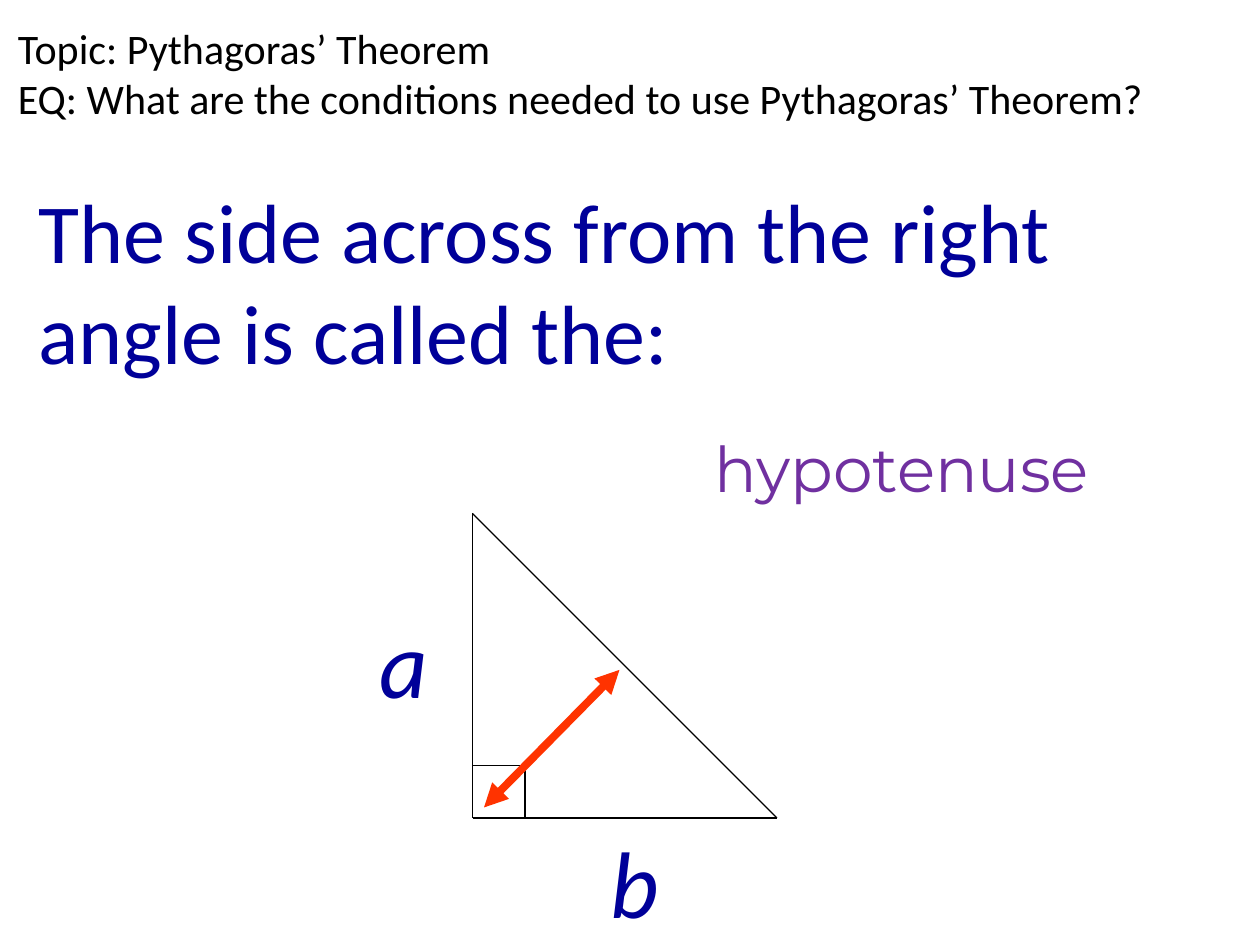
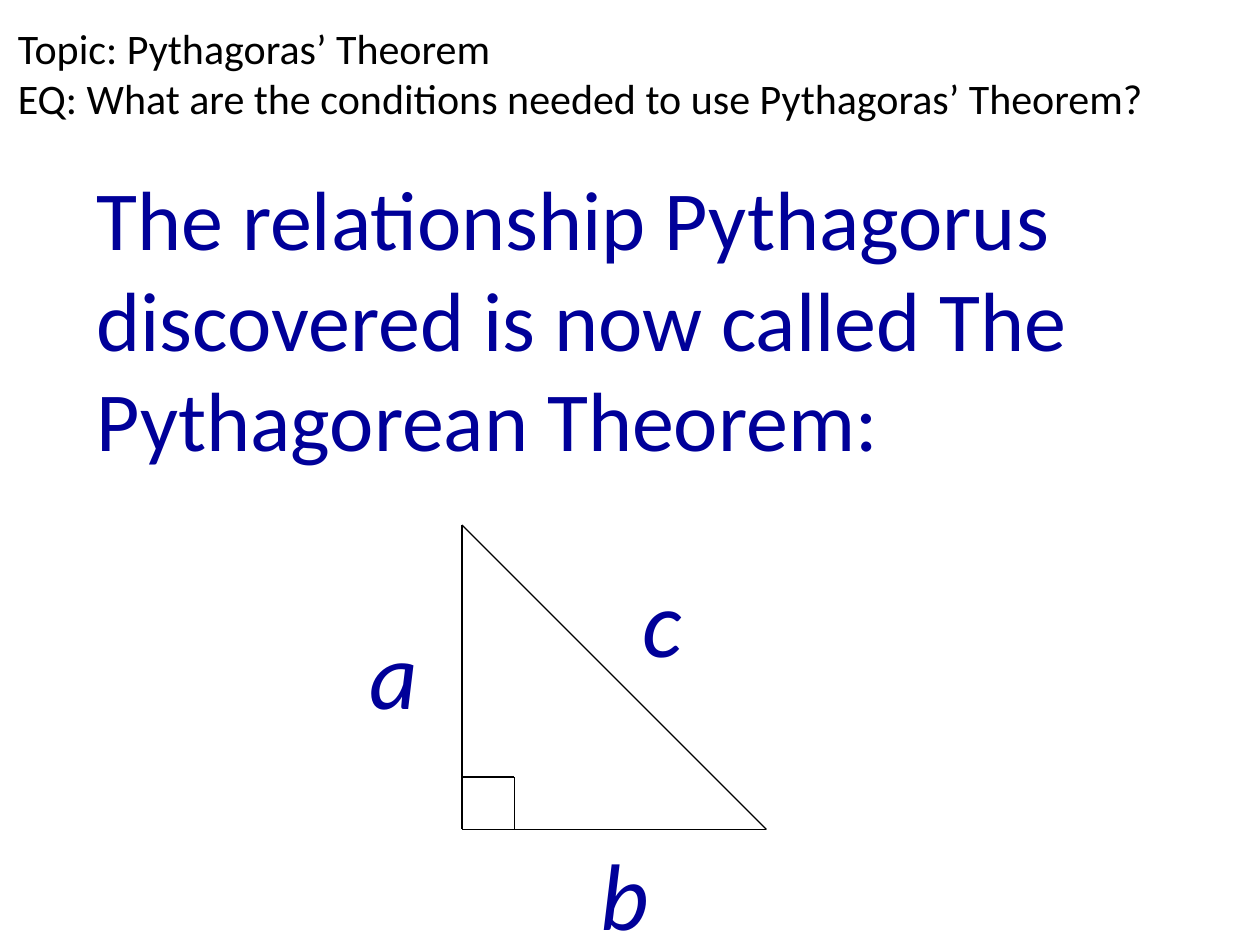
from dataclasses import dataclass

import pptx
import pptx.dml.color
import pptx.enum.shapes
import pptx.enum.text
import pptx.oxml
import pptx.oxml.ns
import pptx.presentation
import pptx.shapes.base
import pptx.slide
import pptx.text.text
import pptx.util

BLACK = pptx.dml.color.RGBColor(0x00, 0x00, 0x00)
NAVY = pptx.dml.color.RGBColor(0x00, 0x00, 0x99)
PURPLE = pptx.dml.color.RGBColor(0x70, 0x30, 0xA0)
ORANGE = pptx.dml.color.RGBColor(0xFF, 0x33, 0x00)

# The grid has 120 columns and 90 rows of one twelfth of an inch.
UNIT = pptx.util.Inches(1) // 12
SLIDE_COLUMNS, SLIDE_ROWS = 120, 90
LEG = 29
RIGHT_ANGLE_MARK = 5

TITLE = "Topic: Pythagoras’ Theorem\vEQ: What are the conditions needed to use Pythagoras’ Theorem?"


@dataclass(frozen=True)
class Area:
    column: float
    row: float
    columns: float
    rows: float


@dataclass(frozen=True)
class Point:
    column: float
    row: float

    def moved(self, columns: float, rows: float) -> "Point":
        return Point(self.column + columns, self.row + rows)


@dataclass(frozen=True)
class TextStyle:
    size: float
    color: pptx.dml.color.RGBColor
    font: str = "Calibri"
    italic: bool = False
    align: pptx.enum.text.PP_ALIGN = pptx.enum.text.PP_ALIGN.LEFT
    anchor: pptx.enum.text.MSO_ANCHOR = pptx.enum.text.MSO_ANCHOR.TOP
    wrap: bool = True


TITLE_STYLE = TextStyle(24, BLACK, anchor=pptx.enum.text.MSO_ANCHOR.MIDDLE)
STATEMENT_STYLE = TextStyle(48, NAVY)
SIDE_STYLE = TextStyle(54, NAVY, italic=True)
ANSWER_STYLE = TextStyle(36, PURPLE, "Montserrat", align=pptx.enum.text.PP_ALIGN.CENTER, wrap=False)

TITLE_AREA = Area(0.5, -1.3, 139.8, 16.5)
# Offsets of the side labels from the right-angle corner.
SIDE_OFFSETS = {"a": (-10, -21), "b": (12, 0), "c": (16, -26)}


def grid(units: float) -> pptx.util.Emu:
    return pptx.util.Emu(round(units * UNIT))


def place(shape: pptx.shapes.base.BaseShape, area: Area) -> None:
    shape.left, shape.top = grid(area.column), grid(area.row)
    shape.width, shape.height = grid(area.columns), grid(area.rows)


def write(frame: pptx.text.text.TextFrame, text: str, style: TextStyle) -> None:
    frame.text = text
    frame.word_wrap = style.wrap
    frame.auto_size = pptx.enum.text.MSO_AUTO_SIZE.NONE
    frame.vertical_anchor = style.anchor
    para = frame.paragraphs[0]
    para.alignment = style.align
    for span in para.runs:
        span.font.name = style.font
        span.font.size = pptx.util.Pt(style.size)
        span.font.italic = style.italic
        span.font.color.rgb = style.color


def add_text(page: pptx.slide.Slide, area: Area, text: str, style: TextStyle) -> None:
    box = page.shapes.add_textbox(0, 0, 0, 0)
    place(box, area)
    write(box.text_frame, text, style)


def add_line(page: pptx.slide.Slide, start: Point, end: Point,
             color: pptx.dml.color.RGBColor = BLACK, width: float = 0.75,
             arrows: bool = False) -> None:
    line = page.shapes.add_connector(
        pptx.enum.shapes.MSO_CONNECTOR.STRAIGHT,
        grid(start.column), grid(start.row), grid(end.column), grid(end.row))
    line.line.color.rgb = color
    line.line.width = pptx.util.Pt(width)
    properties = line.element.spPr
    if arrows:
        outline = line.line._get_or_add_ln()
        for end_name in ("headEnd", "tailEnd"):
            outline.append(pptx.oxml.parse_xml(
                f'<a:{end_name} {pptx.oxml.ns.nsdecls("a")} type="triangle"/>'))
    properties.append(pptx.oxml.parse_xml(f'<a:effectLst {pptx.oxml.ns.nsdecls("a")}/>'))


def add_triangle(page: pptx.slide.Slide, corner: Point, sides: str) -> None:
    """Draw the right triangle, its right-angle mark and the named side labels."""
    apex, foot = corner.moved(0, -LEG), corner.moved(LEG, 0)
    mark = corner.moved(RIGHT_ANGLE_MARK, -RIGHT_ANGLE_MARK)
    for start, end in (
        (foot, corner),
        (apex, corner),
        (apex, foot),
        (mark, mark.moved(0, RIGHT_ANGLE_MARK)),
        (mark, mark.moved(-RIGHT_ANGLE_MARK, 0)),
    ):
        add_line(page, start, end)
    for side in sides:
        label = corner.moved(*SIDE_OFFSETS[side])
        add_text(page, Area(label.column, label.row, 15, 12), side, SIDE_STYLE)


def add_page(deck: pptx.presentation.Presentation, statement: str,
             statement_area: Area) -> pptx.slide.Slide:
    page = deck.slides.add_slide(deck.slide_layouts.get_by_name("Title Only"))
    place(page.shapes.title, TITLE_AREA)
    write(page.shapes.title.text_frame, TITLE, TITLE_STYLE)
    add_text(page, statement_area, statement, STATEMENT_STYLE)
    return page


def add_hypotenuse_page(deck: pptx.presentation.Presentation) -> None:
    page = add_page(deck, "The side across from the right angle is called the:",
                    Area(2.5, 16.5, 109, 20.6))
    corner = Point(45, 77.9)
    add_triangle(page, corner, "ab")
    add_text(page, Area(51.5, 40.3, 68.75, 15.4), "hypotenuse", ANSWER_STYLE)
    add_line(page, corner.moved(1.1, -1), corner.moved(14, -14.1), ORANGE, 4.5, arrows=True)


def add_theorem_page(deck: pptx.presentation.Presentation) -> None:
    page = add_page(
        deck, "The relationship Pythagorus discovered is now called The Pythagorean Theorem:",
        Area(8, 15.25, 107, 30.25))
    add_triangle(page, Point(44, 79), "abc")


def main() -> None:
    deck = pptx.Presentation()
    deck.slide_width, deck.slide_height = grid(SLIDE_COLUMNS), grid(SLIDE_ROWS)
    add_hypotenuse_page(deck)
    add_theorem_page(deck)
    deck.save("out.pptx")


if __name__ == "__main__":
    main()
